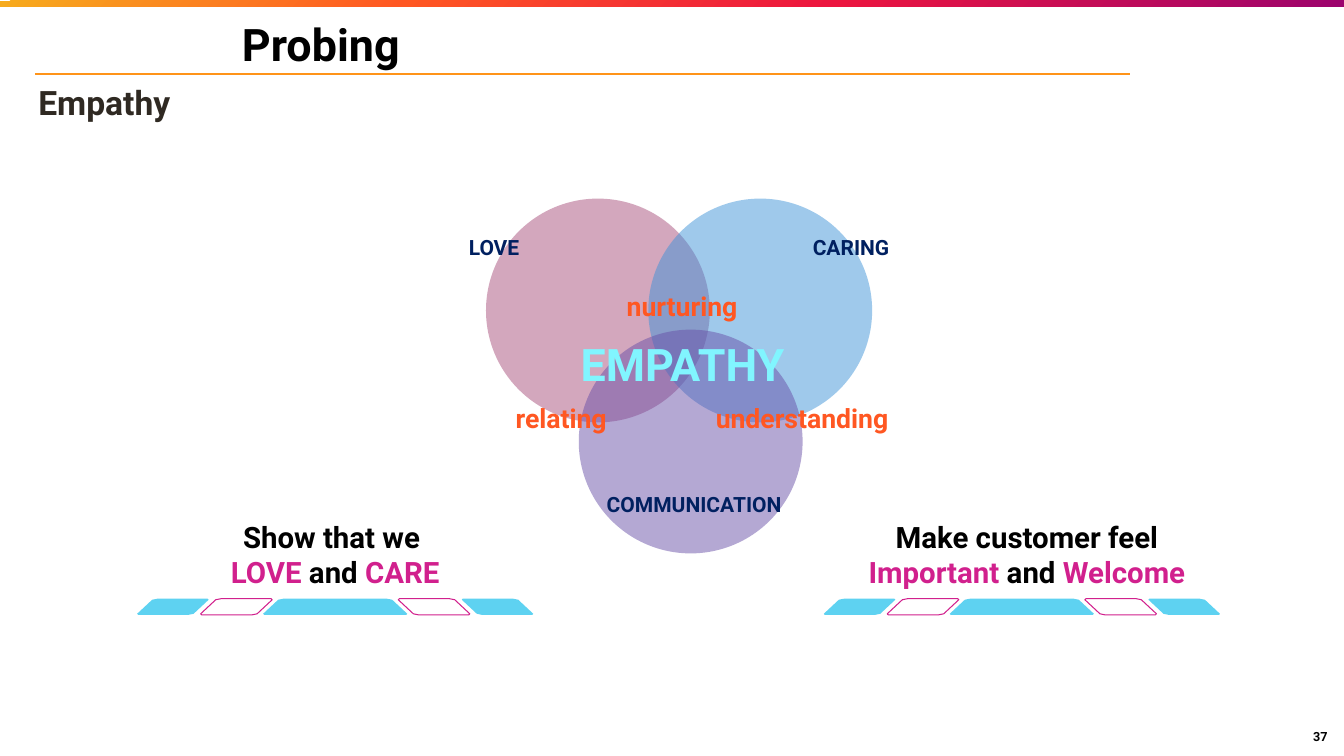
from dataclasses import dataclass

from lxml import etree
from pptx import Presentation
from pptx.dml.color import RGBColor
from pptx.enum.shapes import MSO_SHAPE as Kind
from pptx.enum.text import MSO_ANCHOR as Anchor, MSO_AUTO_SIZE as Fit, PP_ALIGN as Align
from pptx.oxml import parse_xml
from pptx.oxml.ns import nsdecls, qn
from pptx.shapes.base import BaseShape as Base
from pptx.slide import Slide
from pptx.util import Inches, Pt

Box = tuple[float, float, float, float]
Spot = tuple[float, float]


@dataclass(frozen=True)
class Theme:
    font: str = "Roboto"
    black: str = "000000"
    white: str = "FFFFFF"
    brown: str = "2F2922"
    navy: str = "002060"
    orange: str = "FF5722"
    amber: str = "FF9419"
    aqua: str = "81F5FF"
    pink: str = "D1208D"
    sky: str = "5ED2F1"
    blend: tuple = ((0, "F7AB1D"), (30, "FF5722"), (62, "EC153F"), (100, "9C036D"))
    big: int = 32
    head: int = 24
    claim: int = 21
    bond: int = 19
    name: int = 15
    page: int = 9


T = Theme()


@dataclass(frozen=True)
class Label:
    text: str
    box: Box
    size: int
    color: str
    align: Align = Align.CENTER


@dataclass(frozen=True)
class Disc:
    left: float
    top: float
    color: str
    label: Label


@dataclass(frozen=True)
class Claim:
    box: Box
    lead: str
    words: tuple[str, str, str]
    strip: float  # left end of the ornament


@dataclass(frozen=True)
class Tile:
    left: float
    shape: str
    solid: bool


DISCS = (
    Disc(4.82, 1.97, "A64D79",
         Label("LOVE", (4.52, 2.26, 0.84, 0.38), T.name, T.navy, Align.LEFT)),
    Disc(6.43, 1.97, "3C92D8",
         Label("CARING", (7.8, 2.26, 1.15, 0.38), T.name, T.navy, Align.RIGHT)),
    Disc(5.74, 3.27, "674EA7",
         Label("COMMUNICATION", (5.74, 4.81, 2.29, 0.38), T.name, T.navy)),
)
BONDS = (
    Label("nurturing", (6.04, 2.81, 1.45, 0.45), T.bond, T.orange),
    Label("relating", (4.84, 3.92, 1.45, 0.45), T.bond, T.orange),
    Label("understanding", (6.95, 3.92, 2.01, 0.45), T.bond, T.orange),
    Label("EMPATHY", (5.56, 3.27, 2.42, 0.67), T.big, T.aqua),
)
CLAIMS = (
    Claim((1.66, 5.08, 3.33, 0.85), "Show that we ", ("LOVE ", "and ", "CARE"), 1.36),
    Claim((8.4, 5.08, 3.57, 0.85), "Make customer feel",
          ("Important ", "and ", "Welcome"), 8.17),
)
TILES = (
    Tile(0, "slash", True), Tile(0.63, "slash", False), Tile(1.25, "mound", True),
    Tile(2.59, "back", False), Tile(3.22, "back", True),
)
EDGE: tuple[Spot, ...] = ((0.01, 0.16), (0, 0.15), (0.15, 0.01), (0.2, 0))
TALL, THIN, WIDE = 0.16, 0.71, 1.43
DISC = 2.22


def place(shape: Base, box: Box) -> None:
    shape.left, shape.top, shape.width, shape.height = map(Inches, box)


def style(run, size: int, color: str) -> None:
    font = run.font
    font.name, font.size, font.bold = T.font, Pt(size), True
    font.color.rgb = RGBColor.from_string(color)


def frame(shape: Base, side: float, end: float, anchor: Anchor):
    tf = shape.text_frame
    tf.word_wrap = True
    tf.vertical_anchor = anchor
    tf.margin_left = tf.margin_right = Inches(side)
    tf.margin_top = tf.margin_bottom = Inches(end)
    return tf


def paint(shape: Base, fill: str = "", line: str = "") -> None:
    shape.shadow.inherit = False
    if fill:
        shape.fill.solid()
        shape.fill.fore_color.rgb = RGBColor.from_string(fill)
    else:
        shape.fill.background()
    if line:
        shape.line.color.rgb = RGBColor.from_string(line)
        shape.line.width = Pt(0.75)
    else:
        shape.line.fill.background()


def blend(shape: Base) -> None:
    stops = "".join(f'<a:gs pos="{at * 1000}"><a:srgbClr val="{color}"/></a:gs>'
                    for at, color in T.blend)
    grad = parse_xml(f'<a:gradFill {nsdecls("a")}><a:gsLst>{stops}</a:gsLst>'
                     '<a:lin ang="2700000" scaled="0"/></a:gradFill>')
    old = shape.fill._xPr.find(qn("a:noFill"))
    old.getparent().replace(old, grad)


def block(slide: Slide, box: Box, fill: str = "", line: str = "",
          kind: Kind = Kind.RECTANGLE) -> Base:
    shape = slide.shapes.add_shape(kind, *map(Inches, box))
    paint(shape, fill, line)
    return shape


def write(shape: Base, label: Label, side: float, end: float, anchor: Anchor) -> None:
    tf = frame(shape, side, end, anchor)
    tf.text = label.text
    para = tf.paragraphs[0]
    para.alignment = label.align
    style(para.runs[0], label.size, label.color)


def tag(slide: Slide, label: Label) -> None:
    shape = slide.shapes.add_textbox(*map(Inches, label.box))
    write(shape, label, 0.13, 0.07, Anchor.TOP)
    shape.text_frame.auto_size = Fit.SHAPE_TO_FIT_TEXT


def disc(slide: Slide, item: Disc) -> None:
    shape = block(slide, (item.left, item.top, DISC, DISC), item.color, kind=Kind.OVAL)
    tone = shape.fill._xPr.find(qn("a:solidFill"))[0]
    etree.SubElement(tone, qn("a:alpha")).set("val", "49000")
    tag(slide, item.label)


def outline(shape: str) -> list[Spot]:
    wide = WIDE if shape == "mound" else THIN
    if shape == "mound":
        return [*EDGE, *((wide - x, y) for x, y in reversed(EDGE))]
    slash = [*EDGE, *((wide - x, TALL - y) for x, y in EDGE)]
    return slash if shape == "slash" else [(wide - x, y) for x, y in slash]


def strip(slide: Slide, left: float, top: float = 5.94) -> None:
    for tile in TILES:
        spots = [(Inches(left + tile.left + x), Inches(top + y))
                 for x, y in outline(tile.shape)]
        form = slide.shapes.build_freeform(*spots[0], scale=1.0)
        form.add_line_segments(spots[1:], close=True)
        paint(form.convert_to_shape(), *((T.sky,) if tile.solid else ("", T.pink)))


def claim(slide: Slide, item: Claim) -> None:
    strip(slide, item.strip)
    shape = slide.shapes.add_textbox(*map(Inches, item.box))
    write(shape, Label(item.lead, item.box, T.claim, T.black), 0.13, 0.07, Anchor.TOP)
    para = shape.text_frame.add_paragraph()
    para.alignment = Align.CENTER
    for word, color in zip(item.words, (T.pink, T.black, T.pink)):
        run = para.add_run()
        run.text = word
        style(run, T.claim, color)


def main() -> None:
    deck = Presentation()
    deck.slide_width, deck.slide_height = Inches(13.33), Inches(7.5)
    slide = deck.slides.add_slide(deck.slide_layouts[5])

    # Rule under the title, clear corner, top band
    blend(block(slide, (0.35, 0.73, 12.49, 0.01), line=T.amber))
    block(slide, (11.21, 0.28, 1.77, 1.05), T.white)
    blend(block(slide, (0, 0.01, 13.33, 0.06)))

    # Title, heading and page number
    title = Label("Probing", (2.37, 0.05, 8.46, 0.77), T.big, T.black, Align.LEFT)
    place(slide.shapes.title, title.box)
    write(slide.shapes.title, title, 0.03, 0.03, Anchor.MIDDLE)
    head = Label("Empathy", (0.35, 0.81, 10.78, 0.4), T.head, T.brown, Align.LEFT)
    page = Label("37", (12.86, 7.14, 0.47, 0.34), T.page, T.black)
    for label, inset in ((head, 0.03), (page, 0)):
        shape = slide.shapes.add_textbox(*map(Inches, label.box))
        write(shape, label, inset, inset, Anchor.MIDDLE)

    # Three discs and their overlaps
    for item in DISCS:
        disc(slide, item)
    for label in BONDS:
        tag(slide, label)

    # Claims with ornaments
    for item in CLAIMS:
        claim(slide, item)

    deck.save("out.pptx")


if __name__ == "__main__":
    main()
